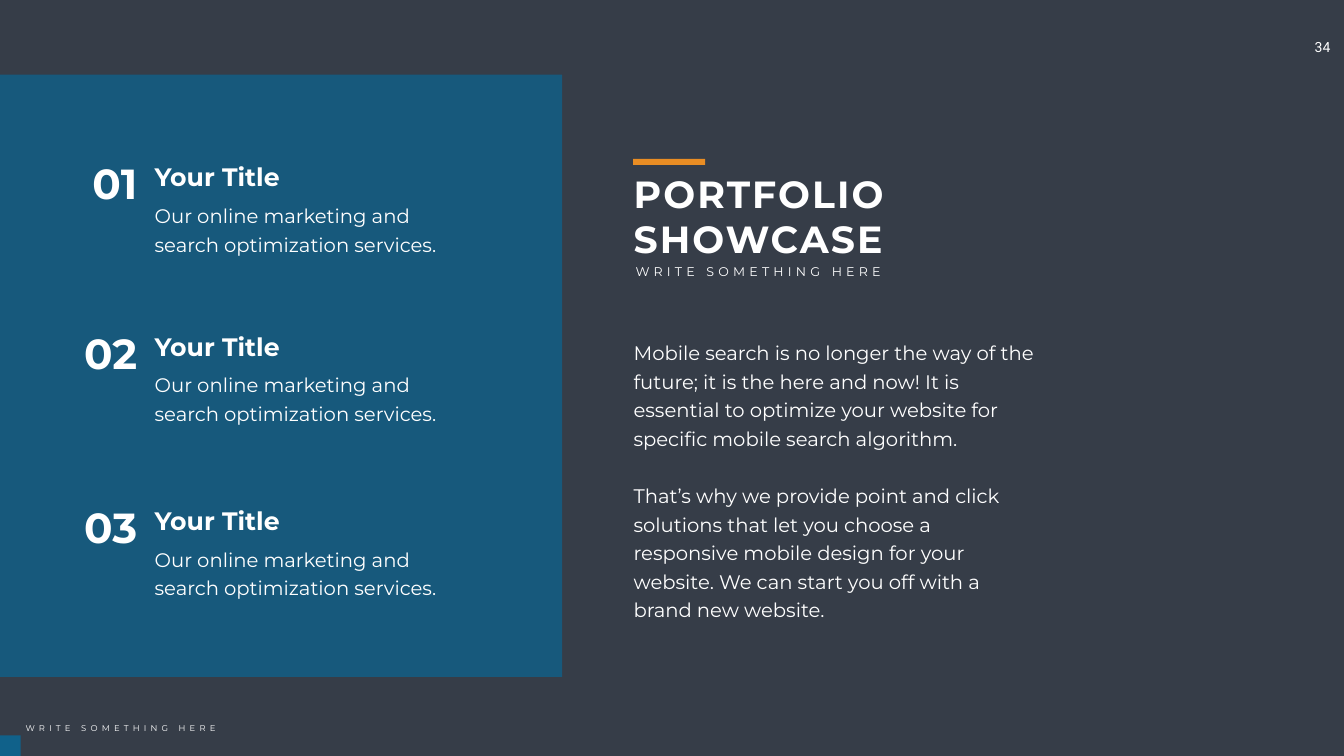
import pptx
import pptx.dml.color
import pptx.enum.shapes
import pptx.enum.text
import pptx.oxml.ns
import pptx.util
from lxml import etree

RGBColor = pptx.dml.color.RGBColor
ALIGN = pptx.enum.text.PP_ALIGN

BACKGROUND = RGBColor(0x36, 0x3D, 0x48)
BLUE = RGBColor(0x10, 0x61, 0x8A)
ORANGE = RGBColor(0xE9, 0x8D, 0x24)
WHITE = RGBColor(0xFF, 0xFF, 0xFF)

EMU_PER_PX = 9144  # 100 px to the inch
LINE_SPACING = 40.8


def px(length):
    return pptx.util.Emu(length * EMU_PER_PX)


class SlideBuilder:
    """Holds the text style and the slide being built."""

    def __init__(self, slide, font_name="Montserrat", color=WHITE):
        self.slide = slide
        self.font_name = font_name
        self.color = color

    def background(self, color):
        fill = self.slide.background.fill
        fill.solid()
        fill.fore_color.rgb = color

    def rectangle(self, left, top, width, height, color, opacity=100):
        shape = self.slide.shapes.add_shape(
            pptx.enum.shapes.MSO_SHAPE.RECTANGLE,
            px(left), px(top), px(width), px(height))
        shape.shadow.inherit = False
        shape.line.fill.background()
        shape.fill.solid()
        shape.fill.fore_color.rgb = color
        if opacity < 100:
            tag = pptx.oxml.ns.qn("a:srgbClr")
            color_element = next(shape.fill._xPr.iter(tag))
            alpha = etree.SubElement(color_element, pptx.oxml.ns.qn("a:alpha"))
            alpha.set("val", str(opacity * 1000))

    def text(self, left, top, width, height, paragraphs, size, bold=False,
             align=ALIGN.LEFT, line_spacing=None, gap=0, tracking=0,
             font_name=None):
        box = self.slide.shapes.add_textbox(
            px(left), px(top), px(width), px(height))
        frame = box.text_frame
        frame.word_wrap = True
        for index, content in enumerate(paragraphs):
            paragraph = frame.add_paragraph() if index else frame.paragraphs[0]
            run = paragraph.add_run()
            run.text = content
            if tracking:
                run._r.get_or_add_rPr().set("spc", str(tracking * 100))
            paragraph.alignment = align
            if line_spacing:
                paragraph.line_spacing = pptx.util.Pt(line_spacing)
            if index and gap:
                paragraph.space_before = pptx.util.Pt(gap)
            paragraph.font.name = font_name or self.font_name
            paragraph.font.size = pptx.util.Pt(size)
            paragraph.font.bold = bold
            paragraph.font.color.rgb = self.color

    def numbered_item(self, top, number, title, description):
        self.text(131, top, 151, 111, [number], 60, bold=True,
                  align=ALIGN.RIGHT)
        self.text(297, top + 8, 268, 71, [title], 36, bold=True)
        self.text(297, top + 82, 600, 120, [description], 28,
                  line_spacing=LINE_SPACING)


def main():
    presentation = pptx.Presentation()
    presentation.slide_width = px(2666)
    presentation.slide_height = px(1500)
    builder = SlideBuilder(
        presentation.slides.add_slide(presentation.slide_layouts[6]))
    builder.background(BACKGROUND)

    # Page number
    builder.text(2598, 72, 68, 44, ["34"], 20, font_name="Roboto")

    # Left panel with numbered items
    builder.rectangle(0, 148, 1115, 1195, BLUE, opacity=80)
    for index, top in enumerate((308, 644, 990), start=1):
        builder.numbered_item(
            top, f"{index:02d}", "Your Title",
            "Our online marketing and search optimization services.")

    # Heading
    builder.text(1247, 334, 823, 192, ["PORTFOLIO SHOWCASE"], 54, bold=True,
                 tracking=3)
    builder.text(1251, 519, 600, 40, ["WRITE SOMETHING HERE"], 18, tracking=6)
    builder.rectangle(1256, 315, 143, 12, ORANGE)

    # Body text
    builder.text(
        1247, 662, 823, 523,
        ["Mobile search is no longer the way of the future; it is the here "
         "and now! It is essential to optimize your website for specific "
         "mobile search algorithm.",
         "That’s why we provide point and click solutions that let you choose "
         "a responsive mobile design for your website. We can start you off "
         "with a brand new website."],
        28, line_spacing=LINE_SPACING, gap=LINE_SPACING)

    # Footer
    builder.rectangle(0, 1459, 41, 41, BLUE)
    builder.text(41, 1430, 500, 30, ["WRITE SOMETHING HERE"], 12, tracking=6)

    presentation.save("out.pptx")


if __name__ == "__main__":
    main()
